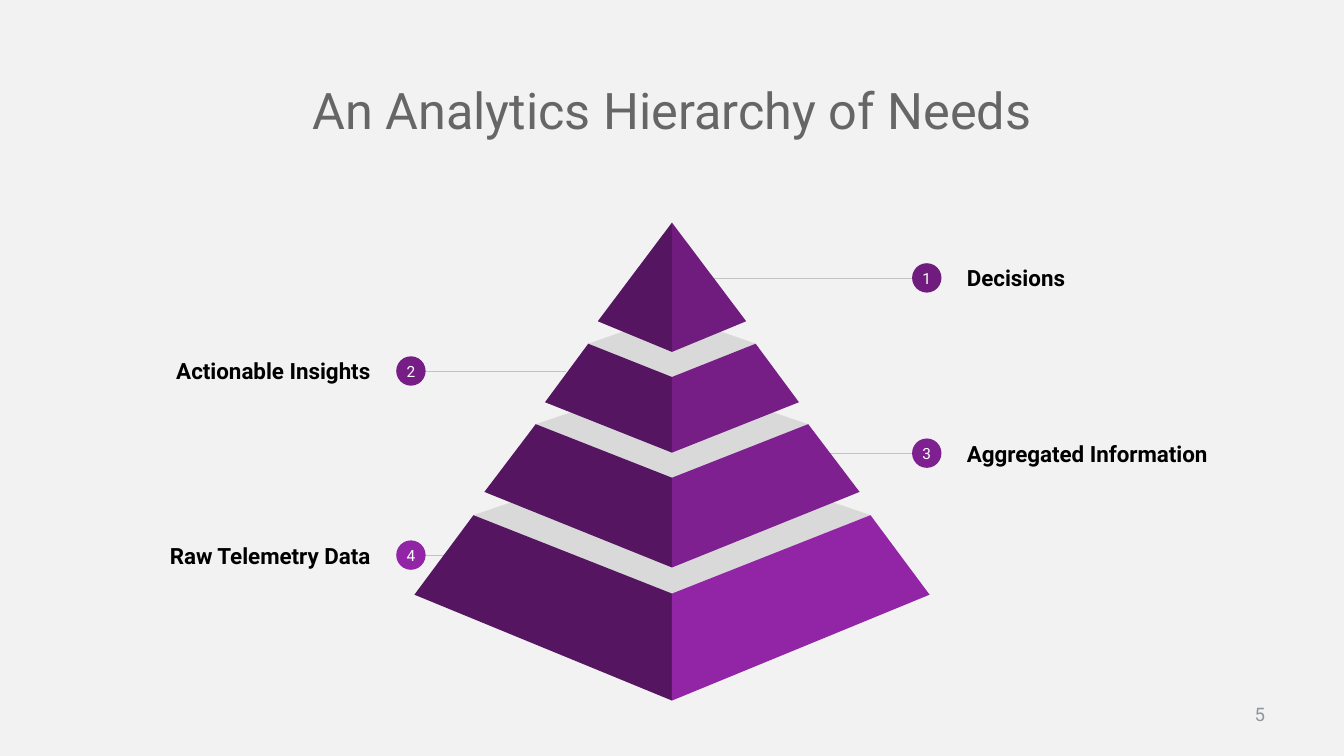
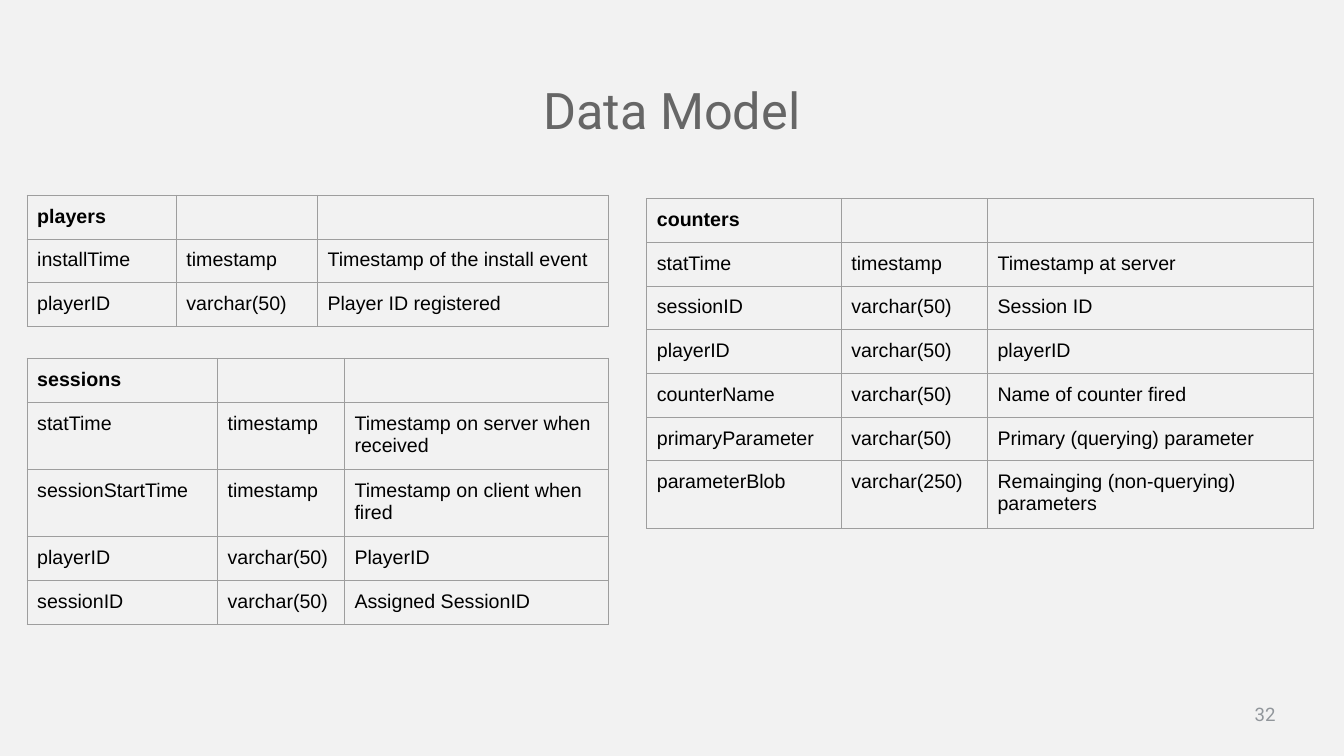
from lxml import etree
from pptx import Presentation
from pptx.dml.color import RGBColor
from pptx.enum.shapes import MSO_CONNECTOR, MSO_SHAPE
from pptx.enum.text import MSO_ANCHOR as Anchor, PP_ALIGN as Align
from pptx.oxml.ns import qn
from pptx.util import Pt

BACKGROUND = RGBColor(0xF2, 0xF2, 0xF2)
TITLE_GREY = RGBColor(0x66, 0x66, 0x66)
NUMBER_GREY = RGBColor(0x91, 0x96, 0x9B)
LEADER_GREY = RGBColor(0xC2, 0xC2, 0xC2)
LID_GREY = RGBColor(0xD9, 0xD9, 0xD9)
BORDER_GREY = RGBColor(0x9E, 0x9E, 0x9E)
BLACK = RGBColor(0x00, 0x00, 0x00)
WHITE = RGBColor(0xFF, 0xFF, 0xFF)
SHADE = RGBColor(0x55, 0x15, 0x61)
TIER_PURPLES = [
    RGBColor(0x70, 0x1C, 0x7F),
    RGBColor(0x76, 0x1E, 0x86),
    RGBColor(0x7F, 0x20, 0x90),
    RGBColor(0x92, 0x25, 0xA5),
]

TITLE_FONT = {"name": "Roboto", "size": Pt(36), "color": TITLE_GREY}
NUMBER_FONT = {"name": "Roboto", "size": Pt(13.3), "color": NUMBER_GREY}
LABEL_FONT = {"name": "Roboto", "size": Pt(16), "bold": True, "color": BLACK}
BADGE_FONT = {"name": "Roboto", "size": Pt(11), "color": WHITE}
CELL_FONT = {"name": "Arial", "size": Pt(14), "bold": False, "color": BLACK}
HEADER_FONT = {**CELL_FONT, "bold": True}

CENTRE_X = 480
BADGE_SIZE = 21
LABEL_WIDTH, LABEL_HEIGHT = 218, 110

# Lid back y, then top and bottom as (half width, side y, front y)
TIERS = [
    (None, (0, 159, 159), (53, 229.5, 251.4)),
    (224.6, (59.8, 245.5, 269.3), (90.7, 287.3, 323.3)),
    (270, (97.3, 303, 341.3), (134, 351.4, 405.4)),
    (319.7, (141.8, 368, 424), (184, 424.8, 500.4)),
]

# Text, centre y, inner end of the leader line, on the right side
LABELS = [
    ("Decisions", 198.5, 507.6, True),
    ("Actionable Insights", 265, 404.6, False),
    ("Aggregated Information", 323.7, 590.4, True),
    ("Raw Telemetry Data", 396.5, 404.6, False),
]

# Left, top, column widths, row heights, rows
TABLES = [
    (19.4, 139.5, [106.6, 100.8, 207.8], [31.2, 30.2, 30.2], [
        ["players", "", ""],
        ["installTime", "timestamp", "Timestamp of the install event"],
        ["playerID", "varchar(50)", "Player ID registered"],
    ]),
    (19.4, 256, [136, 90.7, 188.6], [30.2, 45.7, 45.7, 31.2, 31.2], [
        ["sessions", "", ""],
        ["statTime", "timestamp", "Timestamp on server when received"],
        ["sessionStartTime", "timestamp", "Timestamp on client when fired"],
        ["playerID", "varchar(50)", "PlayerID"],
        ["sessionID", "varchar(50)", "Assigned SessionID"],
    ]),
    (462, 141.8, [139, 104.4, 233], [31.2] + [30.2] * 5 + [45.7], [
        ["counters", "", ""],
        ["statTime", "timestamp", "Timestamp at server"],
        ["sessionID", "varchar(50)", "Session ID"],
        ["playerID", "varchar(50)", "playerID"],
        ["counterName", "varchar(50)", "Name of counter fired"],
        ["primaryParameter", "varchar(50)", "Primary (querying) parameter"],
        ["parameterBlob", "varchar(250)", "Remainging (non-querying) parameters"],
    ]),
]


def set_margins(holder, margin):
    for side in ("left", "top", "right", "bottom"):
        setattr(holder, f"margin_{side}", Pt(margin))


def write(paragraph, text, formats):
    run = paragraph.add_run()
    run.text = text
    for name, value in formats.items():
        if name == "color":
            run.font.color.rgb = value
        else:
            setattr(run.font, name, value)


def fill_frame(frame, text, formats, align, margin):
    frame.word_wrap = True
    frame.vertical_anchor = Anchor.MIDDLE
    set_margins(frame, margin)
    paragraph = frame.paragraphs[0]
    paragraph.alignment = align
    write(paragraph, text, formats)
    return paragraph


def add_text(slide, box, text, formats, align=Align.LEFT, margin=7.2):
    shape = slide.shapes.add_textbox(*map(Pt, box))
    return fill_frame(shape.text_frame, text, formats, align, margin)


def paint(shape, color):
    shape.shadow.inherit = False
    shape.fill.solid()
    shape.fill.fore_color.rgb = color
    shape.line.fill.background()


def add_slide(presentation, title, number):
    """Add a slide with the shared background, title and slide number."""
    slide = presentation.slides.add_slide(presentation.slide_layouts[6])
    slide.background.fill.solid()
    slide.background.fill.fore_color.rgb = BACKGROUND
    paragraph = add_text(slide, (112.5, 29, 735, 104), title, TITLE_FONT, Align.CENTER)
    paragraph.line_spacing = 0.9
    add_text(slide, (889.2, 489.6, 57.6, 41), number, NUMBER_FONT)
    return slide


def add_polygon(slide, points, color):
    start, *others = [(Pt(x), Pt(y)) for x, y in points]
    builder = slide.shapes.build_freeform(*start)
    builder.add_line_segments(others, close=True)
    paint(builder.convert_to_shape(), color)


def add_tier(slide, back_y, top, bottom, color):
    top_half, top_side, top_front = top
    bottom_half, bottom_side, bottom_front = bottom
    if back_y is not None:
        add_polygon(slide, [
            (CENTRE_X - top_half, top_side), (CENTRE_X, top_front + 0.5),
            (CENTRE_X + top_half, top_side), (CENTRE_X, back_y),
        ], LID_GREY)
    for direction, face_color in ((-1, SHADE), (1, color)):
        add_polygon(slide, [
            (CENTRE_X + direction * top_half, top_side), (CENTRE_X, top_front),
            (CENTRE_X, bottom_front), (CENTRE_X + direction * bottom_half, bottom_side),
        ], face_color)


def add_leader(slide, start_x, end_x, y):
    line = slide.shapes.add_connector(
        MSO_CONNECTOR.STRAIGHT, Pt(start_x), Pt(y), Pt(end_x), Pt(y))
    line.line.color.rgb = LEADER_GREY
    line.line.width = Pt(0.75)
    etree.SubElement(line._element.spPr, qn("a:effectLst"))


def add_label(slide, number, text, y, leader_x, on_right, color):
    """Add a leader line, a numbered badge and its caption."""
    badge_x, text_x, align = (
        (662, 681, Align.LEFT) if on_right else (293.5, 56.2, Align.RIGHT))
    add_leader(slide, leader_x, badge_x, y + 0.5)
    badge = slide.shapes.add_shape(
        MSO_SHAPE.OVAL, Pt(badge_x - BADGE_SIZE / 2), Pt(y - BADGE_SIZE / 2),
        Pt(BADGE_SIZE), Pt(BADGE_SIZE))
    paint(badge, color)
    fill_frame(badge.text_frame, str(number), BADGE_FONT, Align.CENTER, 0)
    box = (text_x, y - LABEL_HEIGHT / 2, LABEL_WIDTH, LABEL_HEIGHT)
    add_text(slide, box, text, LABEL_FONT, align, 9.6)


def add_borders(cell):
    properties = cell._tc.get_or_add_tcPr()
    for position, side in enumerate(("L", "R", "T", "B")):
        line = etree.Element(qn(f"a:ln{side}"), w=str(Pt(0.75)))
        fill = etree.SubElement(line, qn("a:solidFill"))
        etree.SubElement(fill, qn("a:srgbClr"), val=str(BORDER_GREY))
        properties.insert(position, line)


def fill_cell(cell, text, formats):
    set_margins(cell, 7.2)
    cell.fill.background()
    add_borders(cell)
    paragraph = cell.text_frame.paragraphs[0]
    if text:
        write(paragraph, text, formats)
    else:
        size = str(int(formats["size"].pt * 100))
        etree.SubElement(paragraph._p, qn("a:endParaRPr"), sz=size)


def add_data_table(slide, left, top, widths, heights, rows):
    table = slide.shapes.add_table(
        len(rows), len(widths), Pt(left), Pt(top),
        Pt(sum(widths)), Pt(sum(heights))).table
    table.first_row = table.horz_banding = False
    for column, width in zip(table.columns, widths):
        column.width = Pt(width)
    for index, (row, height, texts) in enumerate(zip(table.rows, heights, rows)):
        row.height = Pt(height)
        formats = CELL_FONT if index else HEADER_FONT
        for cell, text in zip(row.cells, texts):
            fill_cell(cell, text, formats)


def main():
    presentation = Presentation()
    presentation.slide_width = Pt(960)
    presentation.slide_height = Pt(540)

    pyramid = add_slide(presentation, "An Analytics Hierarchy of Needs", "5")
    for number, (label, color) in enumerate(zip(LABELS, TIER_PURPLES), 1):
        add_label(pyramid, number, *label, color)
    for tier, color in reversed(list(zip(TIERS, TIER_PURPLES))):
        add_tier(pyramid, *tier, color)

    data_model = add_slide(presentation, "Data Model", "32")
    for table in TABLES:
        add_data_table(data_model, *table)

    presentation.save("out.pptx")


if __name__ == "__main__":
    main()
